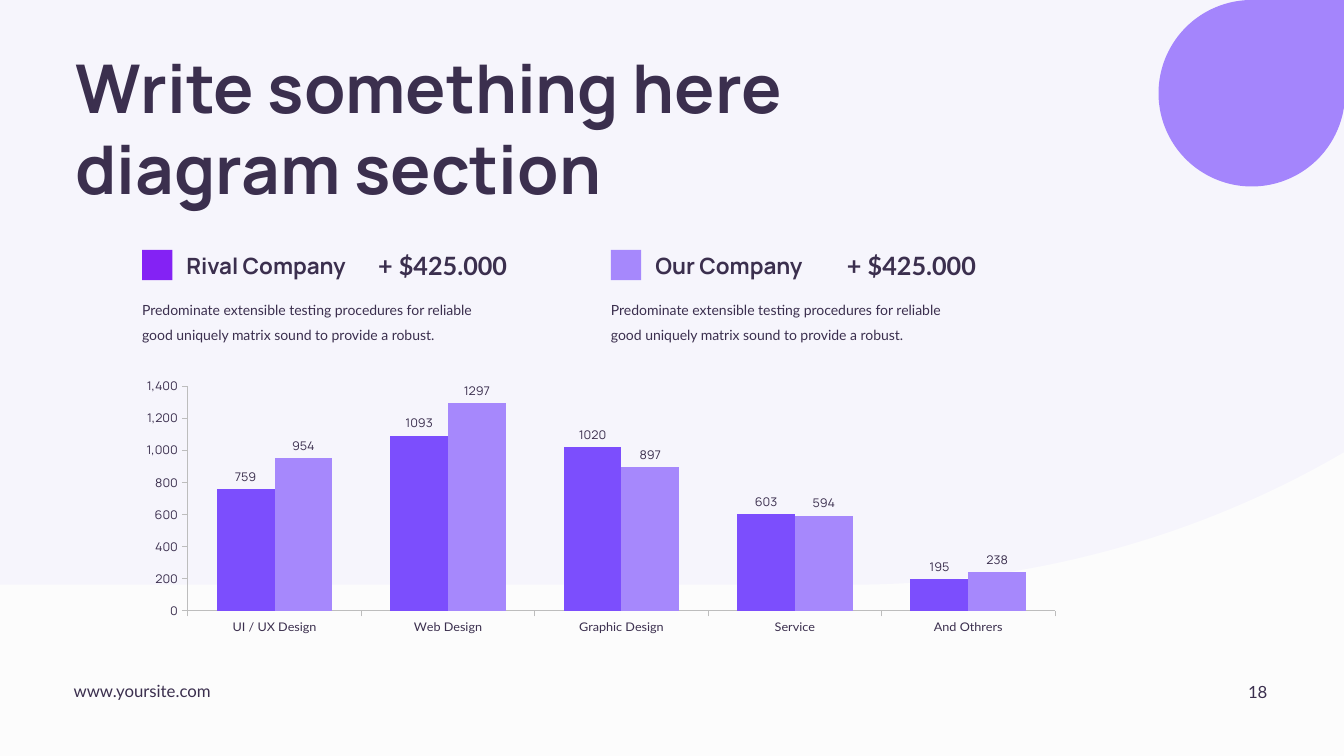
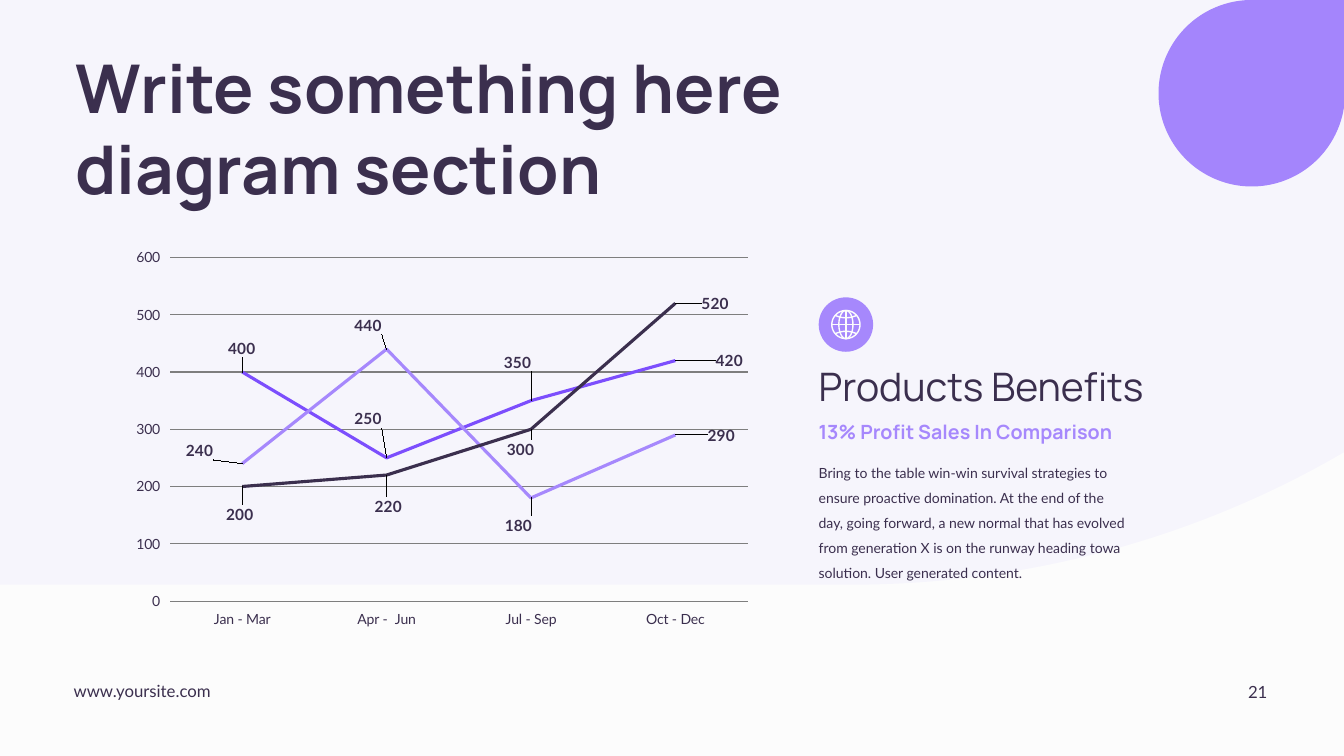
"""Build two diagram slides: a company comparison and a product benefits chart."""
from math import cos, pi, sin

from lxml.etree import SubElement
from pptx import Presentation
from pptx.chart.data import CategoryChartData
from pptx.dml.color import RGBColor
from pptx.enum.chart import XL_CHART_TYPE as Chart, XL_LABEL_POSITION as LabelPlace
from pptx.enum.chart import XL_TICK_MARK as Tick
from pptx.enum.shapes import MSO_SHAPE as Preset
from pptx.enum.text import MSO_ANCHOR as Anchor, MSO_AUTO_SIZE as Fit, PP_ALIGN as Align
from pptx.oxml import parse_xml
from pptx.oxml.ns import nsdecls, qn
from pptx.util import Inches, Pt

COLORS = {
    "paper": "FCFCFC", "ink": "3B2F4E", "violet": "7C4EFD", "lilac": "A688FC",
    "purple": "8422F4", "axis": "BDBDBD", "grid": "7E7E7E",
}
BODY, HEAD = "Lato", "Manrope"
TITLE = "Write something here diagram section"
SITE = "www.yoursite.com"

COMPANY_NOTE = ("Predominate extensible testing procedures for reliable good "
                "uniquely matrix sound to provide a robust.")
COMPANIES = [
    ("Rival Company", "+ $425.000", "purple"),
    ("Our Company", "+ $425.000", "lilac"),
]
COMPANY_LEFT, COMPANY_STEP = 1.41, 4.65

SERVICES = ["UI / UX Design", "Web Design", "Graphic Design", "Service", "And Othrers"]
SERVICE_SERIES = [
    ("Series 1", [759, 1093, 1020, 603, 195], "violet"),
    ("Series 2", [954, 1297, 897, 594, 238], "lilac"),
]

QUARTERS = ["Jan - Mar", "Apr -  Jun", "Jul - Sep", "Oct - Dec"]
QUARTER_SERIES = [
    ("Series 1", [400, 250, 350, 420], "violet"),
    ("Series 2", [240, 440, 180, 290], "lilac"),
    ("Series 3", [200, 220, 300, 520], "ink"),
]
LABEL_SHIFTS = [
    [(-0.18, -0.24), (-0.36, -0.39), (-0.31, -0.38), (0.36, 0)],
    [(-0.6, -0.13), (-0.36, -0.24), (-0.3, 0.27), (0.28, 0)],
    [(-0.2, 0.27), (-0.16, 0.31), (-0.28, 0.2), (0.22, 0)],
]

BENEFIT_LEFT = 8.12
BENEFIT_TITLE = "Products Benefits"
BENEFIT_LEAD = "13% Profit Sales In Comparison"
BENEFIT_TEXT = (
    "Bring to the table win-win survival strategies to ensure proactive domination. "
    "At the end of the day, going forward, a new normal that has evolved from "
    "generation X is on the runway heading towa solution. User generated content."
)


def color(name):
    return RGBColor.from_string(COLORS[name])


def style_font(font, size, face=BODY, tint="ink", bold=False):
    font.size, font.name, font.bold = Pt(size), face, bold
    font.color.rgb = color(tint)


def add_text(page, place, text, size, face=BODY, tint="ink", bold=False, spacing=None,
             inset=False, align=Align.LEFT, anchor=Anchor.TOP, grow=True):
    box = page.shapes.add_textbox(*map(Inches, place))
    frame = box.text_frame
    frame.word_wrap = True
    frame.auto_size = Fit.SHAPE_TO_FIT_TEXT if grow else Fit.NONE
    frame.vertical_anchor = anchor
    if not inset:
        frame.margin_left = frame.margin_right = frame.margin_top = frame.margin_bottom = 0
    para = frame.paragraphs[0]
    para.alignment = align
    if spacing:
        para.line_spacing = spacing
    span = para.add_run()
    span.text = text
    style_font(span.font, size, face, tint, bold)


def add_filled(page, preset, place, tint):
    shape = page.shapes.add_shape(preset, *map(Inches, place))
    shape.shadow.inherit = False
    shape.fill.solid()
    shape.fill.fore_color.rgb = color(tint)
    shape.line.fill.background()
    return shape


def add_page(deck, number):
    page = deck.slides.add_slide(deck.slide_layouts[6])
    add_filled(page, Preset.TEAR, (11.49, 0, 1.85, 1.85), "lilac")
    wash = add_filled(page, Preset.TEAR, (-0.84, -11.65, 18.55, 17.45), "violet")
    wash.rotation = 180
    tone = wash._element.spPr.find(".//" + qn("a:srgbClr"))
    SubElement(tone, qn("a:alpha")).set("val", "4000")
    add_text(page, (0.73, 6.75, 2.71, 0.2), SITE, 12)
    add_text(page, (9.67, 6.66, 3, 0.4), str(number), 12, inset=True,
             align=Align.RIGHT, anchor=Anchor.MIDDLE, grow=False)
    add_text(page, (0.65, 0.41, 9.48, 1.72), TITLE, 48, HEAD, bold=True, inset=True)
    return page


def manual_layout(**values):
    parts = "".join(f'<c:{key} val="{value}"/>' for key, value in values.items())
    return parse_xml(f'<c:layout {nsdecls("c")}><c:manualLayout>{parts}'
                     '</c:manualLayout></c:layout>')


def add_plot(page, kind, place, categories, rows, size, plot, top, step):
    data = CategoryChartData()
    data.categories = categories
    for name, values, _ in rows:
        data.add_series(name, values)
    chart = page.shapes.add_chart(kind, *map(Inches, place), data).chart
    chart.has_legend = chart.has_title = False
    style_font(chart.font, size)
    area = chart._chartSpace.find(".//" + qn("c:plotArea"))
    for old in area.findall(qn("c:layout")):
        area.remove(old)
    left, upper, width, height = plot
    area.insert(0, manual_layout(layoutTarget="inner", xMode="edge", yMode="edge",
                                 x=left, y=upper, w=width, h=height))
    for axis in (chart.category_axis, chart.value_axis):
        axis.major_tick_mark, axis.minor_tick_mark = Tick.OUTSIDE, Tick.NONE
        axis.has_major_gridlines = False
        style_font(axis.tick_labels.font, size)
    scale = chart.value_axis
    scale.minimum_scale, scale.maximum_scale, scale.major_unit = 0, top, step
    scale.tick_labels.number_format = "#,##0"
    scale.tick_labels.number_format_is_linked = False
    chart.plots[0].vary_by_categories = False
    return chart


def add_columns(page):
    chart = add_plot(page, Chart.COLUMN_CLUSTERED, (1.41, 3.75, 9.06, 2.55), SERVICES,
                     SERVICE_SERIES, 9, (0.05, 0, 0.95, 0.92), 1400, 200)
    chart.plots[0].gap_width, chart.plots[0].overlap = 100, 0
    chart.value_axis.tick_labels.font.name = HEAD
    for axis in (chart.category_axis, chart.value_axis):
        axis.format.line.color.rgb = color("axis")
        axis.format.line.width = Pt(0.75)
    for series, (_, _, tint) in zip(chart.plots[0].series, SERVICE_SERIES):
        series.format.fill.solid()
        series.format.fill.fore_color.rgb = color(tint)
        labels = series.data_labels
        labels.show_value, labels.position = True, LabelPlace.OUTSIDE_END
        style_font(labels.font, 9, HEAD)


def add_lines(page):
    width, height = 6.3, 3.83
    chart = add_plot(page, Chart.LINE, (1.12, 2.44, width, height), QUARTERS,
                     QUARTER_SERIES, 10, (0.09, 0.03, 0.91, 0.89), 600, 100)
    chart.value_axis.has_major_gridlines = True
    grid = chart.value_axis.major_gridlines.format.line
    grid.color.rgb, grid.width = color("grid"), Pt(0.75)
    for axis in (chart.category_axis, chart.value_axis):
        axis.format.line.fill.background()
    for series, (_, _, tint), shifts in zip(chart.plots[0].series, QUARTER_SERIES, LABEL_SHIFTS):
        series.smooth = False
        series.format.line.color.rgb = color(tint)
        series.format.line.width = Pt(2.25)
        series.data_labels.show_value = True
        style_font(series.data_labels.font, 11, bold=True)
        for index in range(len(shifts)):
            label = series.points[index].data_label
            label.position = LabelPlace.RIGHT
            style_font(label.font, 11, bold=True)
        for label, (right, down) in zip(series._element.iter(qn("c:dLbl")), shifts):
            label.insert(1, manual_layout(x=right / width, y=down / height))


def add_globe(page, center_x, center_y, radius):
    turn = [2 * pi * step / 48 for step in range(49)]
    sweep = [step / 12 - 1 for step in range(25)]
    contours = [[(cos(a) * wide, sin(a)) for a in turn] for wide in (1, 0.5)]
    contours += [[(0, -1), (0, 1)], [(-1, 0), (1, 0)]]
    contours += [[(0.76 * t, side * (0.48 + 0.17 * t * t)) for t in sweep] for side in (-1, 1)]
    points = [[(Inches(center_x + x * radius), Inches(center_y + y * radius)) for x, y in contour]
              for contour in contours]
    builder = page.shapes.build_freeform(*points[0][0])
    for index, contour in enumerate(points):
        if index:
            builder.move_to(*contour[0])
        builder.add_line_segments(contour[1:], close=False)
    globe = builder.convert_to_shape()
    globe.shadow.inherit = False
    globe.fill.background()
    globe.line.color.rgb, globe.line.width = color("paper"), Pt(1)


def build_comparison(deck):
    page = add_page(deck, 18)
    for index, (name, amount, tint) in enumerate(COMPANIES):
        left = COMPANY_LEFT + index * COMPANY_STEP
        add_filled(page, Preset.RECTANGLE, (left, 2.48, 0.3, 0.3), tint)
        add_text(page, (left + 0.44, 2.5, 1.8, 0.27), name, 16, HEAD, bold=True)
        add_text(page, (left + 2.34, 2.48, 1.6, 0.3), amount, 18, bold=True)
        add_text(page, (left, 2.91, 3.47, 0.48), COMPANY_NOTE, 10, spacing=1.5)
    add_columns(page)


def build_benefits(deck):
    page = add_page(deck, 21)
    add_lines(page)
    add_filled(page, Preset.OVAL, (BENEFIT_LEFT, 2.95, 0.54, 0.54), "lilac")
    add_globe(page, BENEFIT_LEFT + 0.27, 3.22, 0.14)
    add_text(page, (BENEFIT_LEFT, 3.64, 4.13, 0.43), BENEFIT_TITLE, 28, HEAD,
             spacing=Pt(30), anchor=Anchor.MIDDLE)
    add_text(page, (BENEFIT_LEFT, 4.17, 4.13, 0.24), BENEFIT_LEAD, 14, HEAD, "lilac", bold=True)
    add_text(page, (BENEFIT_LEFT, 4.52, 3.1, 1.24), BENEFIT_TEXT, 10, spacing=1.5)


def main():
    deck = Presentation()
    deck.slide_width, deck.slide_height = Inches(13.33), Inches(7.5)
    backdrop = deck.slide_master.background.fill
    backdrop.solid()
    backdrop.fore_color.rgb = color("paper")
    build_comparison(deck)
    build_benefits(deck)
    deck.save("out.pptx")


if __name__ == "__main__":
    main()
